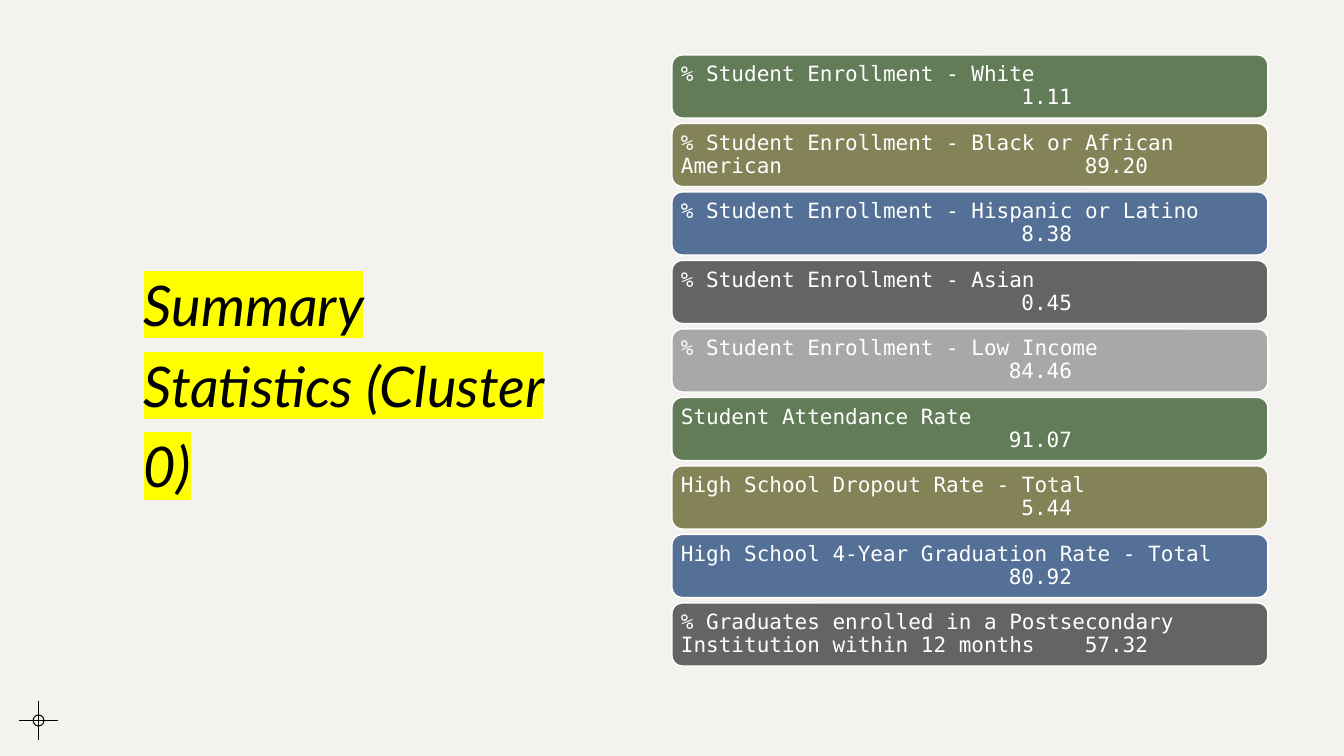
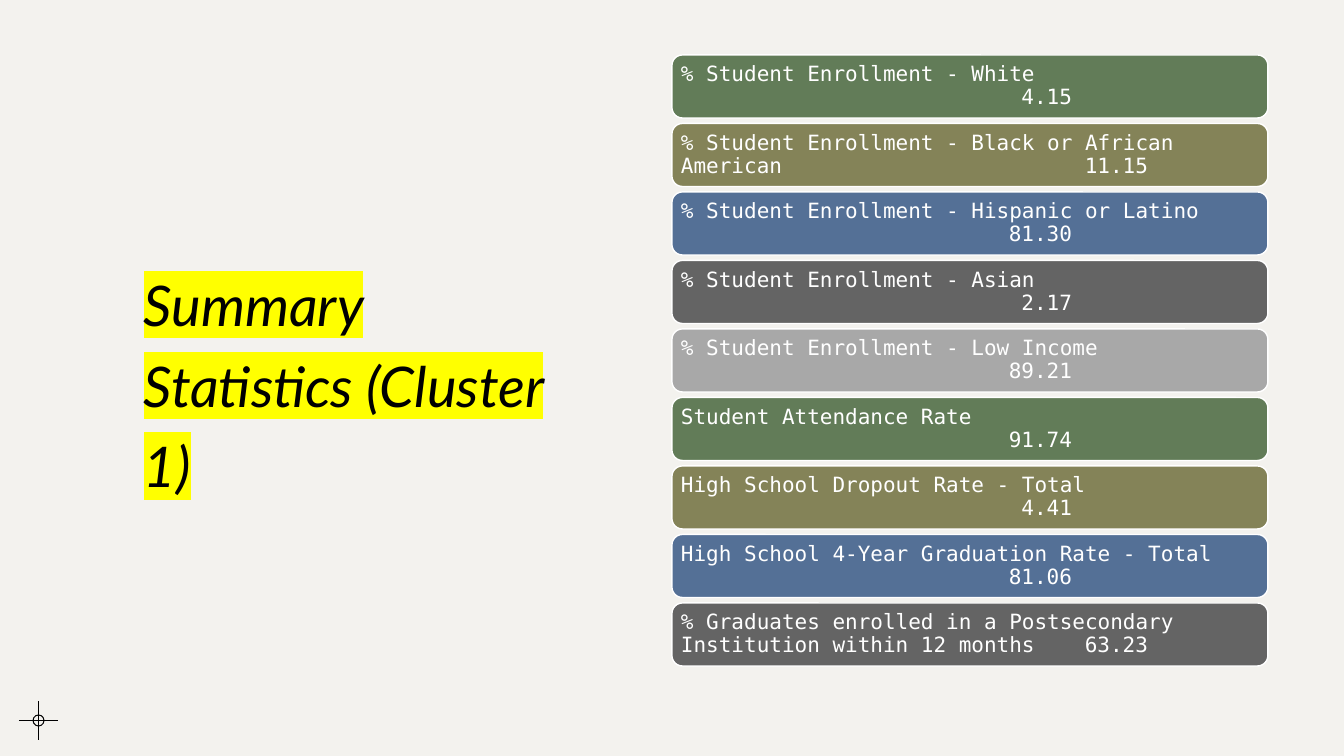
from lxml import etree
from pptx import Presentation
from pptx.dml.color import RGBColor
from pptx.enum import shapes, text
from pptx.oxml import ns
from pptx.util import Emu, Pt

# Shared scale, colours and fonts
PX = 914400 / 100.8
PAPER, INK, WHITE, MARKER = "F3F2EE", "000000", "FFFFFF", "FFFF00"
BAR_COLOURS = ["627C58", "848358", "547096", "646464", "A8A8A8"]
TITLE_FONT, BAR_FONT = "Lato", "DejaVu Sans Mono"

# Measure, and whether its value shares the last line of the label
MEASURES = [
    ("% Student Enrollment - White", False),
    ("% Student Enrollment - Black or African American", True),
    ("% Student Enrollment - Hispanic or Latino", False),
    ("% Student Enrollment - Asian", False),
    ("% Student Enrollment - Low Income", False),
    ("Student Attendance Rate", False),
    ("High School Dropout Rate - Total", False),
    ("High School 4-Year Graduation Rate - Total", False),
    ("% Graduates enrolled in a Postsecondary Institution within 12 months", True),
]
CLUSTERS = {
    "Summary Statistics (Cluster 0)":
        ["1.11", "89.20", "8.38", "0.45", "84.46", "91.07", "5.44", "80.92", "57.32"],
    "Summary Statistics (Cluster 1)":
        ["4.15", "11.15", "81.30", "2.17", "89.21", "91.74", "4.41", "81.06", "63.23"],
}


def px(length):
    return Emu(round(length * PX))


def colour(hex_string):
    return RGBColor.from_string(hex_string)


def add_xml(parent, tag, **attributes):
    return etree.SubElement(parent, ns.qn(tag), attributes)


def add_run(paragraph, words, font, size, hex_string):
    run = paragraph.add_run()
    run.text = words
    run.font.name, run.font.size = font, Pt(size)
    run.font.color.rgb = colour(hex_string)
    return run


def add_crosshair(slide, left, top, size):
    middle, radius = size / 2, 5.5
    x, y = left + middle, top + middle
    for ends in [(left, y, left + size, y), (x, top + size, x, top)]:
        hair = slide.shapes.add_connector(
            shapes.MSO_CONNECTOR.STRAIGHT, *map(px, ends))
        hair.line.color.rgb, hair.line.width = colour(INK), Pt(0.75)
        add_xml(hair._element.spPr, "a:effectLst")
    ring = slide.shapes.add_shape(
        shapes.MSO_SHAPE.OVAL, px(x - radius), px(y - radius),
        px(2 * radius), px(2 * radius))
    ring.shadow.inherit = False
    ring.fill.background()
    ring.line.color.rgb, ring.line.width = colour(INK), Pt(0.75)


def add_title(slide, title, left, top, width, height):
    frame = slide.shapes.add_textbox(*map(px, (left, top, width, height))).text_frame
    frame.word_wrap = True
    frame.vertical_anchor = text.MSO_ANCHOR.MIDDLE
    paragraph = frame.paragraphs[0]
    paragraph.line_spacing = 1.2
    run = add_run(paragraph, title, TITLE_FONT, 40, INK)
    run.font.italic = True
    # The highlight has to follow the text colour
    properties = run.font._element
    highlight = add_xml(properties, "a:highlight")
    add_xml(highlight, "a:srgbClr", val=MARKER)
    properties.find(ns.qn("a:solidFill")).addnext(highlight)


def add_bar(slide, measure, value, same_line, fill, left, top, width, height):
    bar = slide.shapes.add_shape(
        shapes.MSO_SHAPE.ROUNDED_RECTANGLE, *map(px, (left, top, width, height)))
    bar.shadow.inherit = False
    bar.fill.solid()
    bar.fill.fore_color.rgb = colour(fill)
    bar.line.color.rgb, bar.line.width = colour(WHITE), Pt(1)
    frame = bar.text_frame
    frame.word_wrap = True
    frame.vertical_anchor = text.MSO_ANCHOR.MIDDLE
    frame.margin_left = frame.margin_right = px(6)
    frame.margin_top = frame.margin_bottom = px(3)
    paragraph = frame.paragraphs[0]
    paragraph.alignment = text.PP_ALIGN.LEFT
    paragraph.line_spacing = 0.9
    # Values end at a right-aligned tab stop
    tab_stops = add_xml(paragraph._p.get_or_add_pPr(), "a:tabLst")
    add_xml(tab_stops, "a:tab", pos=str(px(467 if same_line else 391)), algn="r")
    add_run(paragraph, measure, BAR_FONT, 15, WHITE)
    if not same_line:
        paragraph.add_line_break()
    add_run(paragraph, "\t" + value, BAR_FONT, 15, WHITE)


def add_bars(slide, values, left, top, width, height):
    bar_height = 63
    pitch = (height - bar_height) / (len(MEASURES) - 1)
    for i, ((measure, same_line), value) in enumerate(zip(MEASURES, values)):
        add_bar(slide, measure, value, same_line, BAR_COLOURS[i % len(BAR_COLOURS)],
                left, top + i * pitch, width, bar_height)


def add_cluster_slide(prs, title, values):
    slide = prs.slides.add_slide(prs.slide_layouts[6])
    add_crosshair(slide, 19, 701, 39)
    add_title(slide, title, 134, 135, 454, 486)
    add_bars(slide, values, 672, 55, 596, 611)


def main():
    prs = Presentation()
    prs.slide_width, prs.slide_height = px(1344), px(756)
    paper = prs.slide_master.background.fill
    paper.solid()
    paper.fore_color.rgb = colour(PAPER)
    for title, values in CLUSTERS.items():
        add_cluster_slide(prs, title, values)
    prs.save("out.pptx")


if __name__ == "__main__":
    main()
